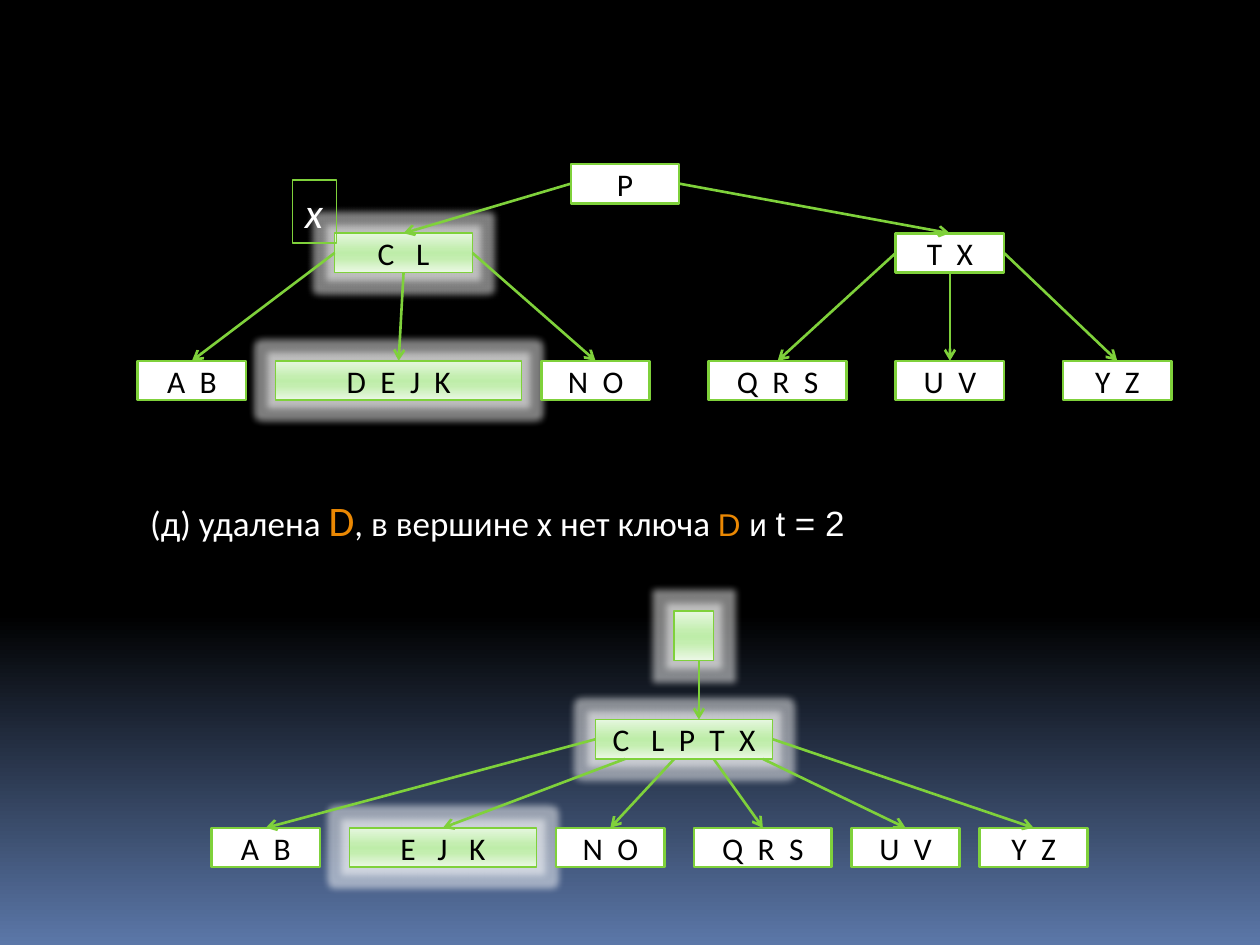
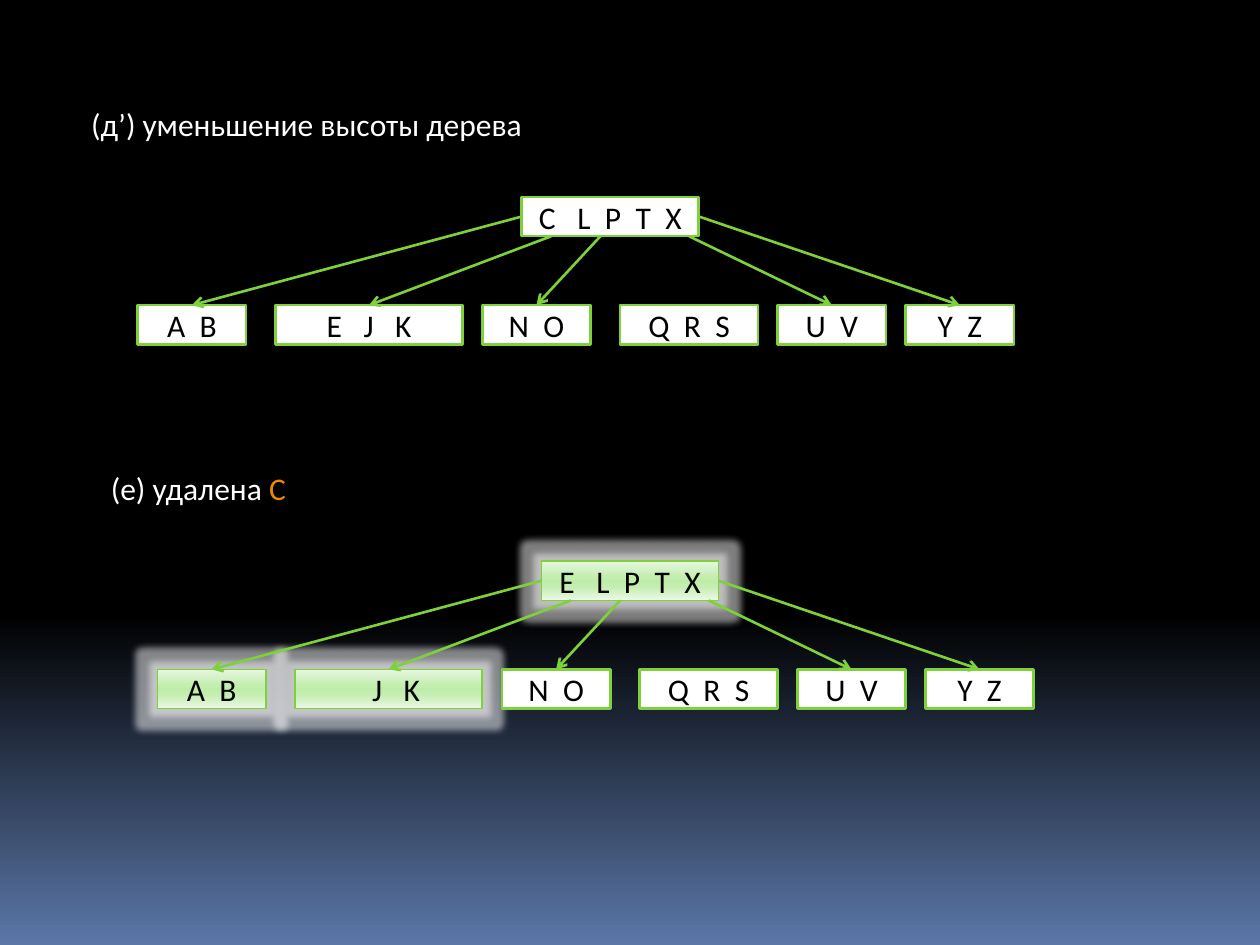
import pptx
import pptx.dml.color
import pptx.enum.shapes
import pptx.enum.text
import pptx.oxml
import pptx.oxml.ns
import pptx.util

COLORS = {
    "ink": "000000",
    "paper": "FFFFFF",
    "edge": "7FD13B",
    "accent": "EB8803",
}
NIGHT = [(0, "000000"), (65, "000000"), (100, "5B77A8")]
LIT = [(0, "E6F7E0"), (40, "C4EEB0"), (50, "BEEDA9"), (65, "C4EEB0"), (100, "ECF8E6")]
TOP, LEFT, BOTTOM, RIGHT = range(4)
KEY_SIZE = 18
SPACE_WIDTH = 0.23 * KEY_SIZE
NODE_HEIGHT = 2
LEAF_DROP = 5.5
LEAF_COLUMNS = [(-19.5, 5.5), (-12.5, 9.5), (-2, 5.5), (5, 7), (13, 5.5), (19.5, 5.5)]
INNER_STARTS = {1: 1.5, 2: 4, 3: 6, 4: 8.5}


def rgb(name):
    """Return the named colour."""
    return pptx.dml.color.RGBColor.from_string(COLORS[name])


def xml(markup):
    """Build one drawing element."""
    return pptx.oxml.parse_xml(markup.replace(" ", f" {pptx.oxml.ns.nsdecls('a')} ", 1))


def paint_gradient(fill, element, stops):
    """Fill the element downwards through the colour stops."""
    fill.gradient()
    fill.gradient_angle = 270
    stop_list = next(element.iter(pptx.oxml.ns.qn("a:gsLst")))
    for old_stop in list(stop_list):
        stop_list.remove(old_stop)
    for share, color in stops:
        stop_list.append(xml(f'<a:gs pos="{share * 1000}"><a:srgbClr val="{color}"/></a:gs>'))


class TreeDeck:
    """Draws B-trees on slides with a grid of 64 columns and 48 rows."""

    def __init__(self):
        """Open an empty deck of 10 by 7.5 inches."""
        self.deck = pptx.Presentation()
        self.deck.slide_width = pptx.util.Inches(10)
        self.deck.slide_height = pptx.util.Inches(7.5)
        self.cell = self.deck.slide_width / 64
        self.slide = None

    def grid(self, *cells):
        """Turn grid counts into lengths."""
        return [pptx.util.Emu(round(count * self.cell)) for count in cells]

    def new_slide(self):
        """Start a slide on the night-sky background."""
        self.slide = self.deck.slides.add_slide(self.deck.slide_layouts[6])
        paint_gradient(self.slide.background.fill, self.slide.element, NIGHT)

    def add_words(self, paragraph, words, size=18, color="paper", font="Calibri"):
        """Add one run and return it."""
        run = paragraph.add_run()
        run.text = words
        run.font.size = pptx.util.Pt(size)
        run.font.name = font
        run.font.color.rgb = rgb(color)
        return run

    def node(self, keys, col, row, width, height=NODE_HEIGHT, lit=False, wide="", shift=0):
        """Draw a tree node; keys in wide are followed by a wider gap."""
        box = self.slide.shapes.add_shape(
            pptx.enum.shapes.MSO_SHAPE.RECTANGLE, *self.grid(col, row, width, height))
        box.shadow.inherit = False
        box.line.color.rgb = rgb("edge")
        box.line.width = pptx.util.Pt(0.94 if lit else 1.5)
        if lit:
            paint_gradient(box.fill, box.element, LIT)
            effects = box.element.spPr.find(pptx.oxml.ns.qn("a:effectLst"))
            effects.append(xml('<a:glow rad="101600"><a:srgbClr val="FFFFFF">'
                               '<a:alpha val="50000"/></a:srgbClr></a:glow>'))
        else:
            box.fill.solid()
            box.fill.fore_color.rgb = rgb("paper")
        frame = box.text_frame
        frame.vertical_anchor = pptx.enum.text.MSO_ANCHOR.MIDDLE
        frame.margin_left += pptx.util.Pt(shift)
        paragraph = frame.paragraphs[0]
        paragraph.alignment = pptx.enum.text.PP_ALIGN.CENTER
        for place, key in enumerate(keys):
            self.add_words(paragraph, key, KEY_SIZE, "ink")
            if place < len(keys) - 1:
                gap = self.add_words(paragraph, " ", KEY_SIZE, "ink")
                extra = SPACE_WIDTH * (2 if key in wide else 1)
                gap.font._element.set("spc", str(round(extra * 100)))
        return box

    def arrow(self, parent, child, side=None, start=0, end=None):
        """Link a parent's side, or a point on its bottom, to the child's top."""
        start_x = parent.left + self.grid(start)[0]
        end_x = child.left + self.grid(end or 0)[0]
        link = self.slide.shapes.add_connector(
            pptx.enum.shapes.MSO_CONNECTOR.STRAIGHT,
            start_x, parent.top + parent.height, end_x, child.top)
        if side is not None:
            link.begin_connect(parent, side)
        if end is None:
            link.end_connect(child, TOP)
        link.line.color.rgb = rgb("edge")
        link.line.width = pptx.util.Pt(1.5)
        link.line._get_or_add_ln().append(xml('<a:tailEnd type="arrow"/>'))
        link._element.spPr.append(xml("<a:effectLst />"))

    def caption(self, runs, col, row, width, height, wrap=False):
        """Add a line of text and return its box and runs."""
        box = self.slide.shapes.add_textbox(*self.grid(col, row, width, height))
        box.text_frame.word_wrap = wrap
        paragraph = box.text_frame.paragraphs[0]
        return box, [self.add_words(paragraph, *run) for run in runs]

    def marker(self, name, col, row):
        """Draw a framed italic vertex name."""
        box, runs = self.caption([(name, 24)], col, row, 2.25, 3.2)
        box.line.color.rgb = rgb("edge")
        box.line.width = pptx.util.Pt(0.75)
        runs[0].font.italic = True

    def branches(self, parent, children):
        """Link a node to its left, middle and right children."""
        for side, child in zip((LEFT, BOTTOM, RIGHT), children):
            self.arrow(parent, child, side)

    def six_leaf_tree(self, col, row, keys, second, lit=(), shift=0, inner=(1, 2, 4)):
        """Draw a five-key root over six leaves; lit holds the bright nodes."""
        root = self.node(keys, col, row, 9, lit="root" in lit, wide=keys[0])
        leaves = []
        for place, leaf_keys in enumerate(["AB", second, "NO", "QRS", "UV", "YZ"]):
            offset, width = LEAF_COLUMNS[place]
            leaves.append(self.node(
                leaf_keys, col + offset, row + LEAF_DROP, width, lit=place in lit,
                wide=second if place == 1 else "", shift=shift if place == 1 else 0))
        self.arrow(root, leaves[0], LEFT)
        for place in inner:
            self.arrow(root, leaves[place], start=INNER_STARTS[place])
        self.arrow(root, leaves[-1], RIGHT)
        return root


def deletion_of_d(deck):
    """Show the tree before and after D is deleted."""
    deck.new_slide()
    root = deck.node("P", 29, 8.33, 5.5)
    left = deck.node("CL", 17, 11.85, 7, lit=True, wide="C")
    right = deck.node("TX", 45.5, 11.85, 5.5)
    deck.arrow(root, left, LEFT)
    deck.arrow(root, right, RIGHT)
    leaf_row = 18.33
    middle_leaf = deck.node("DEJK", 14, leaf_row, 12.5, lit=True)
    outer = [deck.node(keys, col, leaf_row, width) for keys, col, width in [
        ("AB", 7, 5.5), ("NO", 27.5, 5.5), ("QRS", 36, 7), ("UV", 45.5, 5.5), ("YZ", 54, 5.5)]]
    deck.branches(left, [outer[0], middle_leaf, outer[1]])
    deck.branches(right, outer[2:])
    deck.marker("х", 14.85, 9.15)

    emptied = deck.node("", 34.25, 31.05, 2, 2.5, lit=True)
    merged = deck.six_leaf_tree(30.25, 36.55, "CLPTX", "EJK", ("root", 1), inner=(1, 2, 3, 4))
    deck.arrow(emptied, merged, start=1.25, end=5.25)
    deck.caption([
        ("(д) удалена ", 20), ("D", 24, "accent"), (", в вершине х нет ключа", 20), (" ",),
        ("D ", 18, "accent", "Arial"), ("и ", 18, "paper", "Arial"),
        ("t = 2", 20, "paper", "Arial")], 7, 24.83, 49.2, 3.2, wrap=True)


def deletion_of_c(deck):
    """Show the lower tree, and the tree after C is deleted."""
    deck.new_slide()
    deck.caption([("(д’) уменьшение высоты дерева",)], 4, 5, 25.5, 2.58)
    deck.six_leaf_tree(26.5, 10, "CLPTX", "EJK")
    deck.caption([("(е) удалена ",), ("C", 18, "accent")], 5, 23.5, 10.25, 2.58)
    deck.six_leaf_tree(27.5, 28.5, "ELPTX", "JK", ("root", 0, 1), shift=2 * SPACE_WIDTH)


def main():
    """Build and save the deck."""
    deck = TreeDeck()
    deletion_of_d(deck)
    deletion_of_c(deck)
    deck.deck.save("out.pptx")


if __name__ == "__main__":
    main()
